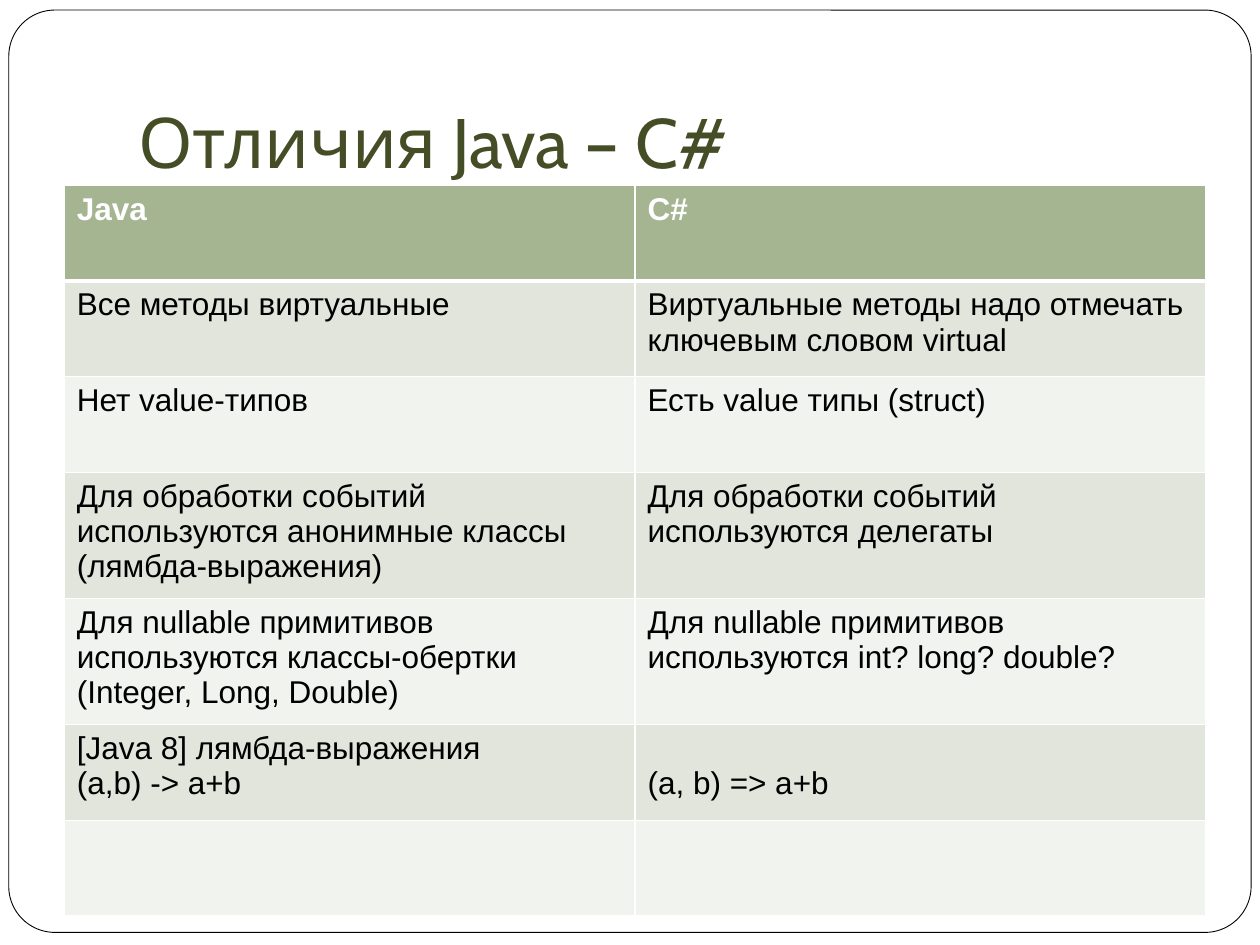
from lxml.etree import SubElement
from pptx import Presentation
from pptx.dml.color import RGBColor
from pptx.enum.shapes import MSO_SHAPE
from pptx.enum.text import MSO_ANCHOR
from pptx.oxml.ns import qn
from pptx.util import Inches, Pt

WHITE, BLACK, OLIVE = "FFFFFF", "000000", "444D26"
HEADER_FILL = "A5B592"
BAND_FILLS = ("E1E5DC", "F0F3EE")
ROW_HEIGHT = 0.76
COLUMN_WIDTH = 4.53
TEXT_LINE = 0.28

ROWS = [
    ("Java", "C#"),
    ("Все методы виртуальные",
     "Виртуальные методы надо отмечать ключевым словом virtual"),
    ("Нет value-типов", "Есть value типы (struct)"),
    ("Для обработки событий используются анонимные классы (лямбда-выражения)",
     "Для обработки событий используются делегаты"),
    ("Для nullable примитивов используются классы-обертки (Integer, Long, Double)",
     "Для nullable примитивов используются int? long? double?"),
    ("[Java 8] лямбда-выражения\n(a,b) -> a+b", "(a, b) => a+b"),
    ("", ""),
]
LAMBDA_CELL = (5, 1)


def color(value):
    return RGBColor.from_string(value)


def set_font(paragraph, name, size, value, bold=False):
    font = paragraph.font
    font.name, font.size, font.bold = name, Pt(size), bold
    font.color.rgb = color(value)


def add_frame(page):
    frame = page.shapes.add_shape(MSO_SHAPE.ROUNDED_RECTANGLE, Inches(0.07),
                                  Inches(0.08), Inches(9.86), Inches(7.32))
    frame.shadow.inherit = False
    frame.adjustments[0] = 0.05
    frame.fill.solid()
    frame.fill.fore_color.rgb = color(WHITE)
    frame.line.color.rgb = color(BLACK)
    frame.line.width = Pt(0.5)


def add_title(page, text):
    box = page.shapes.add_textbox(Inches(1), Inches(0.3), Inches(8.5), Inches(1.25))
    frame = box.text_frame
    frame.word_wrap = True
    frame.vertical_anchor = MSO_ANCHOR.BOTTOM
    frame.margin_bottom = Inches(0.1)
    frame.text = text
    set_font(frame.paragraphs[0], "Cabin", 40, OLIVE)


def set_borders(cell, bottom_width, top_width):
    properties = cell._tc.get_or_add_tcPr()
    widths = {"a:lnL": 1, "a:lnR": 1, "a:lnT": top_width, "a:lnB": bottom_width}
    for tag, width in widths.items():
        line = SubElement(properties, qn(tag), w=str(Pt(width)))
        fill = SubElement(line, qn("a:solidFill"))
        SubElement(fill, qn("a:srgbClr"), val=WHITE)


def style_cell(cell, text, row):
    header = row == 0
    # Borders come before the fill in the cell properties
    set_borders(cell, 3 if header else 1, 3 if row == 1 else 1)
    cell.fill.solid()
    cell.fill.fore_color.rgb = color(HEADER_FILL if header else BAND_FILLS[(row - 1) % 2])
    cell.text = text
    for paragraph in cell.text_frame.paragraphs:
        set_font(paragraph, "Arial", 18, WHITE if header else BLACK, header)


def add_comparison(page):
    count = len(ROWS)
    table = page.shapes.add_table(count, 2, Inches(0.51), Inches(1.47),
                                  Inches(2 * COLUMN_WIDTH),
                                  Inches(count * ROW_HEIGHT)).table
    for column in table.columns:
        column.width = Inches(COLUMN_WIDTH)
    for row, texts in enumerate(ROWS):
        table.rows[row].height = Inches(ROW_HEIGHT)
        for column, text in enumerate(texts):
            style_cell(table.cell(row, column), text, row)
    # Align the C# lambda with the second line of its Java counterpart
    table.cell(*LAMBDA_CELL).margin_top = Inches(0.05 + TEXT_LINE)


def main():
    deck = Presentation()
    deck.slide_width, deck.slide_height = Inches(10), Inches(7.5)
    page = deck.slides.add_slide(deck.slide_layouts[6])
    add_frame(page)
    add_title(page, "Отличия Java – C#")
    add_comparison(page)
    deck.save("out.pptx")


if __name__ == "__main__":
    main()
